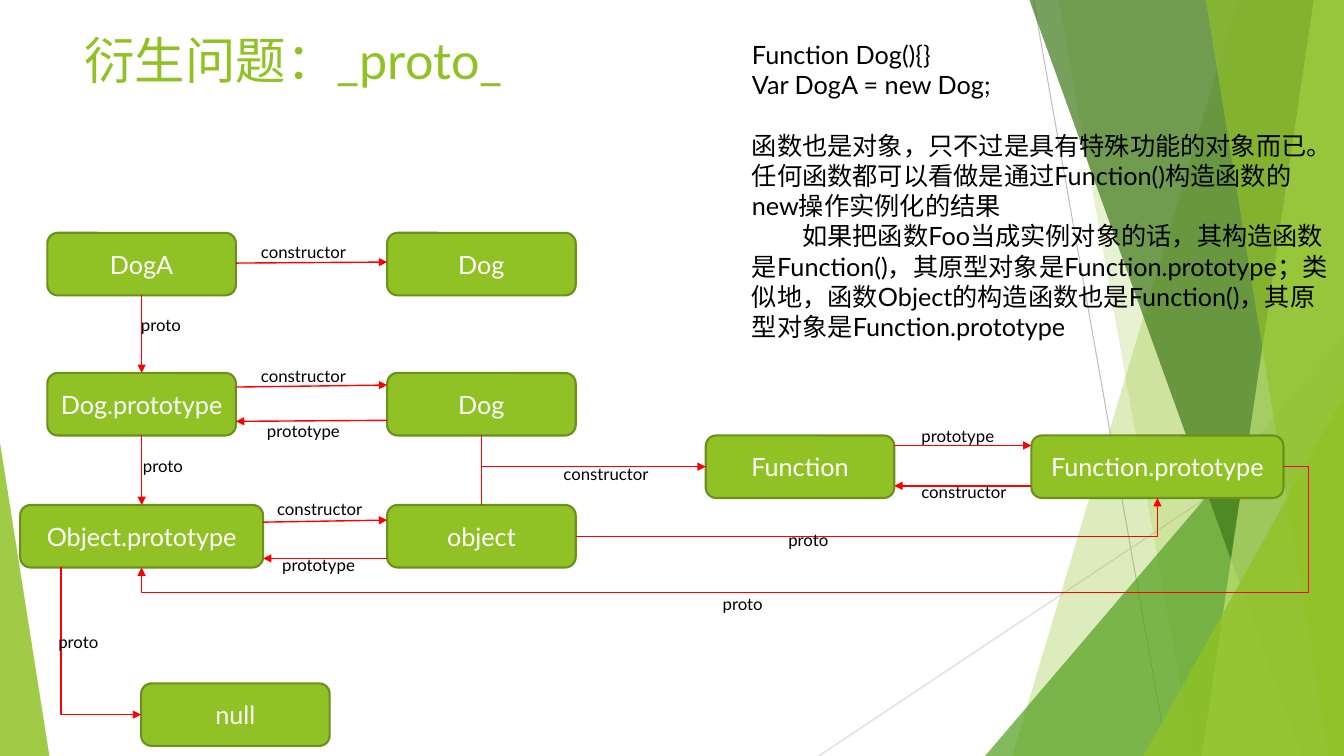
from lxml import etree
from pptx import Presentation
from pptx.dml.color import RGBColor
from pptx.enum.shapes import MSO_CONNECTOR, MSO_SHAPE
from pptx.enum.text import MSO_ANCHOR, MSO_AUTO_SIZE, PP_ALIGN
from pptx.oxml.ns import qn
from pptx.util import Inches, Pt

STRAIGHT, ELBOW = MSO_CONNECTOR.STRAIGHT, MSO_CONNECTOR.ELBOW
TRIANGLE, ROUNDED = MSO_SHAPE.ISOSCELES_TRIANGLE, MSO_SHAPE.ROUNDED_RECTANGLE
FONT = "Lato"
GREEN, DARK_GREEN, RED = "90C226", "6B901C", "FF0000"
WIDTH, HEIGHT = 13.33, 7.5

TITLE = "衍生问题：_proto_"
NOTES = [
    "Function Dog(){}",
    "Var DogA = new Dog;",
    "函数也是对象，只不过是具有特殊功能的对象而已。任何函数都可以看做是通过Function()构造函数的new操作实例化的结果",
    "　　如果把函数Foo当成实例对象的话，其构造函数是Function()，其原型对象是Function.prototype；"
    "类似地，函数Object的构造函数也是Function()，其原型对象是Function.prototype",
]

# Background facets: the x of the top left, top right, bottom right, bottom left
# corners for a band, or a box and apex position for a triangle.
BACK_LINES = [((10.25, 0), (11.58, 7.5), "BFBFBF"), ((13.33, 4.03), (8.12, 7.5), "D9D9D9")]
FACETS = [
    ("band", (12.28, WIDTH, WIDTH, 10.04), GREEN, 30),
    ("band", (10.5, WIDTH, WIDTH, 11.83), GREEN, 20),
    ("triangle", (9.77, 3.33, 3.56, 4.17, 1), "54A021", 72),
    ("band", (10.21, WIDTH, WIDTH, 12.91), "3F7819", 70),
    ("band", (13.03, WIDTH, WIDTH, 11.92), "C0E474", 70),
    ("band", (11.96, WIDTH, WIDTH, 13.18), GREEN, 65),
    ("triangle", (11.34, 3.93, 1.99, 3.57, 1), GREEN, 80),
    ("triangle", (0, 4.39, 0.49, 3.11, 0), GREEN, 85),
]

# key: text, left, top, width
BOX_HEIGHT, BOX_WIDTH = 0.62, 1.87
BOXES = {
    "null": ("null", 1.4, 6.78, BOX_WIDTH),
    "object": ("object", 3.84, 5.01, BOX_WIDTH),
    "object proto": ("Object.prototype", 0.2, 5.01, 2.41),
    "dog": ("Dog", 3.84, 3.7, BOX_WIDTH),
    "dog proto": ("Dog.prototype", 0.47, 3.7, BOX_WIDTH),
    "dog a": ("DogA", 0.47, 2.31, BOX_WIDTH),
    "dog maker": ("Dog", 3.84, 2.31, BOX_WIDTH),
    "function": ("Function", 7, 4.32, BOX_WIDTH),
    "function proto": ("Function.prototype", 10.23, 4.32, 2.5),
}

# route, then (box, side, shift along that side) for both ends
LINKS = [
    ("straight", ("function", "right", -0.21), ("function proto", "left", -0.21)),
    ("straight", ("function proto", "left", 0.19), ("function", "right", 0.19)),
    ("straight", ("object", "left", 0.22), ("object proto", "right", 0.22)),
    ("straight", ("object proto", "right", -0.14), ("object", "left", -0.16)),
    ("straight", ("dog", "left", 0.16), ("dog proto", "right", 0.17)),
    ("straight", ("dog proto", "right", -0.17), ("dog", "left", -0.19)),
    ("straight", ("dog a", "right", -0.01), ("dog maker", "left", -0.02)),
    ("straight", ("dog a", "bottom", 0), ("dog proto", "top", 0)),
    ("straight", ("dog proto", "bottom", 0), ("object proto", "top", 0)),
    ("down first", ("dog", "bottom", 0), ("function", "left", 0)),
    ("down first", ("object", "top", 0), ("function", "left", 0)),
    ("down first", ("object proto", "bottom", -0.8), ("null", "left", 0)),
    ("across first", ("object", "right", 0), ("function proto", "bottom", 0)),
    ("around", ("function proto", "right", 0), ("object proto", "bottom", 0)),
]
PLAIN_LINK = LINKS[10]
DETOUR = 0.25

LABEL_WIDTHS = {"prototype": 1.04, "constructor": 1.13, "proto": 1.04}
LABELS = {
    "prototype": [(9.04, 4.17), (2.7, 5.45), (2.55, 4.12)],
    "constructor": [(9.04, 4.73), (5.49, 4.55), (2.65, 4.9), (2.49, 3.58), (2.49, 2.35)],
    "proto": [(1.3, 3.07), (1.32, 4.47), (0.48, 6.22), (7.07, 5.84), (7.72, 5.21)],
}


def color(value):
    """Turn a hex string into a colour."""
    return RGBColor.from_string(value)


def inches(*values):
    """Turn numbers into lengths."""
    return [Inches(value) for value in values]


def style_text(text_frame, size, value):
    """Set font, size and colour on every run."""
    for paragraph in text_frame.paragraphs:
        paragraph.font.size = Pt(size)
        for run in paragraph.runs:
            run.font.name = FONT
            run.font.size = Pt(size)
            run.font.color.rgb = color(value)


def add_text(text, left, top, width, height, size, value="000000"):
    """Add a wrapping text box."""
    text_frame = slide.shapes.add_textbox(*inches(left, top, width, height)).text_frame
    text_frame.word_wrap = True
    text_frame.auto_size = MSO_AUTO_SIZE.SHAPE_TO_FIT_TEXT
    text_frame.text = text
    style_text(text_frame, size, value)
    return text_frame


def add_facet(kind, geometry, value, opacity):
    """Add one translucent background band or triangle."""
    if kind == "band":
        corners = list(zip(geometry, (0, 0, HEIGHT, HEIGHT)))
        builder = slide.shapes.build_freeform(*inches(*corners[0]))
        builder.add_line_segments([inches(*corner) for corner in corners[1:]], close=True)
        shape = builder.convert_to_shape()
    else:
        shape = slide.shapes.add_shape(TRIANGLE, *inches(*geometry[:4]))
        shape.adjustments[0] = geometry[4]
    shape.shadow.inherit = False
    shape.line.fill.background()
    shape.fill.solid()
    shape.fill.fore_color.rgb = color(value)
    fill_color = shape.fill._xPr.find(qn("a:solidFill"))[0]
    etree.SubElement(fill_color, qn("a:alpha"), val=str(opacity * 1000))


def add_box(text, left, top, width):
    """Add one rounded object box."""
    shape = slide.shapes.add_shape(ROUNDED, *inches(left, top, width, BOX_HEIGHT))
    shape.shadow.inherit = False
    shape.fill.solid()
    shape.fill.fore_color.rgb = color(GREEN)
    shape.line.color.rgb = color(DARK_GREEN)
    shape.line.width = Pt(1.5)
    text_frame = shape.text_frame
    text_frame.word_wrap = True
    text_frame.vertical_anchor = MSO_ANCHOR.MIDDLE
    text_frame.text = text
    text_frame.paragraphs[0].alignment = PP_ALIGN.CENTER
    style_text(text_frame, 18, "FFFFFF")


def add_line(kind, start, end, value, width, arrow=False):
    """Add a connector without shadow, with an optional arrowhead."""
    connector = slide.shapes.add_connector(kind, *inches(*start, *end))
    connector.line.color.rgb = color(value)
    connector.line.width = Pt(width)
    if arrow:
        etree.SubElement(connector.line._get_or_add_ln(), qn("a:tailEnd"), type="triangle")
    etree.SubElement(connector._element.spPr, qn("a:effectLst"))
    return connector


def anchor(key, side, shift):
    """Find a point on one side of a box."""
    _, left, top, width = BOXES[key]
    if side in ("left", "right"):
        return left + width * (side == "right"), top + BOX_HEIGHT / 2 + shift
    return left + width / 2 + shift, top + BOX_HEIGHT * (side == "bottom")


def add_link(route, source, target, arrow):
    """Join two boxes with a straight or bent line."""
    start, end = anchor(*source), anchor(*target)
    if route == "straight":
        add_line(STRAIGHT, start, end, RED, 1, arrow)
        return
    across, down = end[0] - start[0], end[1] - start[1]
    if route == "down first":  # a quarter turn swaps the sides around the centre
        middle_x, middle_y = start[0] + across / 2, start[1] + down / 2
        start = middle_x + down / 2, middle_y - across / 2
        end = middle_x - down / 2, middle_y + across / 2
    connector = add_line(ELBOW, start, end, RED, 1, arrow)
    properties = connector._element.spPr
    geometry = properties.find(qn("a:prstGeom"))
    geometry.set("prst", "bentConnector4" if route == "around" else "bentConnector2")
    if route == "down first":
        properties.find(qn("a:xfrm")).set("rot", "16200000")
    if route == "around":
        guides = geometry.find(qn("a:avLst"))
        for name, ratio in (("adj1", -DETOUR / abs(across)), ("adj2", 1 + DETOUR / down)):
            etree.SubElement(guides, qn("a:gd"), name=name, fmla=f"val {round(ratio * 100000)}")


presentation = Presentation()
presentation.slide_width, presentation.slide_height = inches(WIDTH, HEIGHT)
slide = presentation.slides.add_slide(presentation.slide_layouts[6])

for start, end, value in BACK_LINES:
    add_line(STRAIGHT, start, end, value, 0.75)
for facet in FACETS:
    add_facet(*facet)
add_text(TITLE, 0.74, 0.24, 10.33, 0.77, 36, GREEN)
for box in BOXES.values():
    add_box(*box)
for link in LINKS:
    add_link(*link, arrow=link is not PLAIN_LINK)
for text, places in LABELS.items():
    for left, top in places:
        add_text(text, left, top, LABEL_WIDTHS[text], 0.3, 12)
notes = add_text("\n".join(NOTES), 7.36, 0.34, 5.97, 3.43, 18)
notes.paragraphs[2].space_before = Pt(21.6)

presentation.save("out.pptx")
